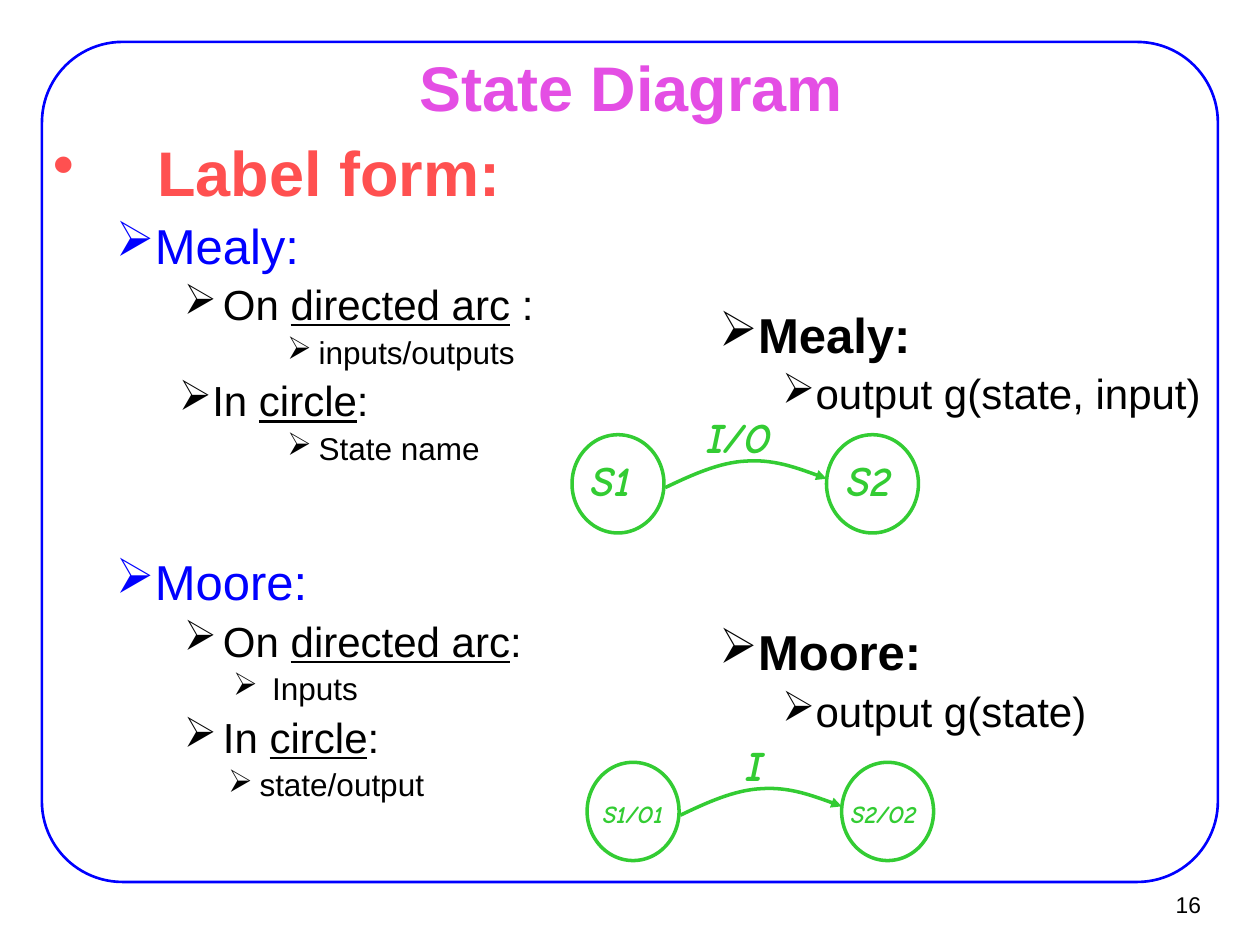
from dataclasses import dataclass

from lxml import etree
from pptx import Presentation
from pptx.dml.color import RGBColor
from pptx.enum.shapes import MSO_SHAPE
from pptx.enum.text import MSO_ANCHOR, PP_ALIGN
from pptx.oxml.ns import qn
from pptx.util import Inches, Pt

ROUNDED, OVAL = MSO_SHAPE.ROUNDED_RECTANGLE, MSO_SHAPE.OVAL
MIDDLE, TOP = MSO_ANCHOR.MIDDLE, MSO_ANCHOR.TOP
LEFT, CENTER, RIGHT = PP_ALIGN.LEFT, PP_ALIGN.CENTER, PP_ALIGN.RIGHT

SLIDE_WIDTH, SLIDE_HEIGHT = Inches(10), Inches(7.5)
CELL = SLIDE_WIDTH // 100  # square grid of 100 columns and 75 rows


@dataclass(frozen=True)
class Theme:
    font: str = "Arial"
    diagram_font: str = "Comic Neue"
    title: str = "E44EE4"
    heading: str = "FF5050"
    accent: str = "0000FF"
    text: str = "000000"
    diagram: str = "33CC33"
    title_size: int = 36
    model_size: int = 28
    item_size: int = 24
    detail_size: int = 18
    state_size: int = 14
    number_size: int = 13


THEME = Theme()


@dataclass(frozen=True)
class Item:
    """One bulleted line; underscores in the text enclose underlined words."""
    text: str
    level: int
    indent: float
    hang: float
    size: int
    color: str = THEME.text
    bold: bool = False
    bullet: str = "➢"
    gap: float = 0


def cells(count):
    return round(count * CELL)


def style_span(span, size, color, bold=False, font=THEME.font, italic=False):
    span.font.name, span.font.size = font, Pt(size)
    span.font.bold, span.font.italic = bold, italic
    span.font.color.rgb = RGBColor.from_string(color)


def style_outline(shape, color, width):
    shape.shadow.inherit = False
    shape.fill.background()
    shape.line.color.rgb = RGBColor.from_string(color)
    shape.line.width = Pt(width)


def add_box(shapes, area, anchor=TOP, wrap=True, insets=(1, 0.5)):
    box = shapes.add_textbox(*map(cells, area))
    frame = box.text_frame
    frame.word_wrap, frame.vertical_anchor = wrap, anchor
    frame.margin_left = frame.margin_right = cells(insets[0])
    frame.margin_top = frame.margin_bottom = cells(insets[1])
    return frame


def add_label(shapes, area, text, align, wrap=False, **style):
    frame = add_box(shapes, area, MIDDLE, wrap)
    frame.text = text
    para = frame.paragraphs[0]
    para.alignment = align
    style_span(para.runs[0], **style)


def format_item(para, item):
    para.level, para.alignment = item.level, LEFT
    para.line_spacing = 0.9
    para.space_before = Pt(item.gap or 0.23 * item.size)
    properties = para._p.get_or_add_pPr()
    properties.set("marL", str(cells(item.indent)))
    properties.set("indent", str(-cells(item.hang)))
    etree.SubElement(properties, qn("a:buChar")).set("char", item.bullet)
    for index, words in enumerate(item.text.split("_")):
        if words:
            span = para.add_run()
            span.text = words
            style_span(span, item.size, item.color, item.bold)
            span.font.underline = index % 2 == 1


def add_list(shapes, area, items, insets=(1, 0.5)):
    frame = add_box(shapes, area, insets=insets)
    for index, item in enumerate(items):
        format_item(frame.add_paragraph() if index else frame.paragraphs[0], item)


def add_arc(shapes, points):
    """Curve through points listed as start, then two controls and an end per bend."""
    places = [(cells(column), cells(row)) for column, row in points]
    builder = shapes.build_freeform(*places[0])
    builder.add_line_segments(places[1:], close=False)
    arc = builder.convert_to_shape()
    lines = list(arc._element.iter(qn("a:lnTo")))
    for first in range(0, len(lines), 3):
        bend = etree.Element(qn("a:cubicBezTo"))
        lines[first].addprevious(bend)
        for line in lines[first:first + 3]:
            bend.append(line[0])
            line.getparent().remove(line)
    style_outline(arc, THEME.diagram, 2)
    etree.SubElement(arc.line._get_or_add_ln(), qn("a:tailEnd")).set("type", "triangle")


def add_diagram(shapes, left, top, arc_label, states, centers, label_row, size):
    """Two states joined by a labelled arc; centers and label_row are offsets."""
    group = shapes.add_group_shape().shapes
    for offset in (0, 20.2):
        circle = group.add_shape(OVAL, *map(cells, (left + offset, top, 7.3, 7.8)))
        style_outline(circle, THEME.diagram, 2)
    bends = [(7.4, 4.2), (9.5, 3.2), (11.7, 2.2), (13.8, 2.1),
             (15.9, 1.95), (18.1, 2.7), (20.2, 3.5)]
    add_arc(group, [(left + column, top + row) for column, row in bends])
    style = dict(color=THEME.diagram, bold=True, font=THEME.diagram_font, italic=True)
    add_label(group, (left + 9.2, top - 2.3, 8.2, 5), arc_label, CENTER,
              size=THEME.item_size, **style)
    for state, center in zip(states, centers):
        area = (left + center - 4, top + label_row - 2.5, 8, 5)
        add_label(group, area, state, CENTER, size=size, **style)


def model(text, gap=0):
    return Item(text, 1, 8.1, 3.1, THEME.model_size, THEME.accent, gap=gap)


def place(text, indent=13.5, hang=3.1):
    return Item(text, 2, indent, hang, THEME.item_size)


def detail(text, level=4, indent=21.1, hang=2.5):
    return Item(text, level, indent, hang, THEME.detail_size)


def add_output_rule(shapes, area, name, rule):
    add_list(shapes, area, [
        Item(name, 2, 12.5, 2.5, THEME.model_size, bold=True),
        Item(rule, 3, 17.5, 2.5, THEME.item_size),
    ])


def main():
    deck = Presentation()
    deck.slide_width, deck.slide_height = SLIDE_WIDTH, SLIDE_HEIGHT
    shapes = deck.slides.add_slide(deck.slide_layouts[6]).shapes

    border = shapes.add_shape(ROUNDED, *map(cells, (3.33, 3.33, 93.33, 66.67)))
    border.adjustments[0] = 0.096
    style_outline(border, THEME.accent, 1.5)
    add_label(shapes, (90.2, 69.9, 6.1, 3.7), "16", RIGHT,
              size=THEME.number_size, color=THEME.text)
    add_label(shapes, (7.6, 4.4, 85, 4.9), "State Diagram", CENTER, wrap=True,
              size=THEME.title_size, color=THEME.title, bold=True)

    add_list(shapes, (3.1, 10.7, 93.8, 50.8), [
        Item("Label form:", 0, 8.3, 8.3, THEME.title_size, THEME.heading, True, "•"),
        model("Mealy:"),
        place("On _directed arc_ :"),
        detail("inputs/outputs"),
        place("In _circle_:", 12.5, 2.5),
        detail("State name"),
        model("Moore:", gap=52),
        place("On _directed arc_:"),
        detail("Inputs", 3, 17.4, 3.1),
        place("In _circle_:"),
        detail("state/output", 3, 16.4),
    ], insets=(1.1, 0.6))

    add_output_rule(shapes, (46.1, 24.2, 50.4, 9.7), "Mealy:", "output g(state, input)")
    add_output_rule(shapes, (46.1, 49.4, 42.5, 9.7), "Moore:", "output g(state)")

    add_diagram(shapes, 45.4, 34.5, "I/O", ("S1", "S2"),
                (3.1, 23.6), 3.6, THEME.item_size)
    add_diagram(shapes, 46.6, 60.5, "I", ("S1/O1", "S2/O2"),
                (3.65, 23.55), 4.05, THEME.state_size)
    deck.save("out.pptx")


if __name__ == "__main__":
    main()
